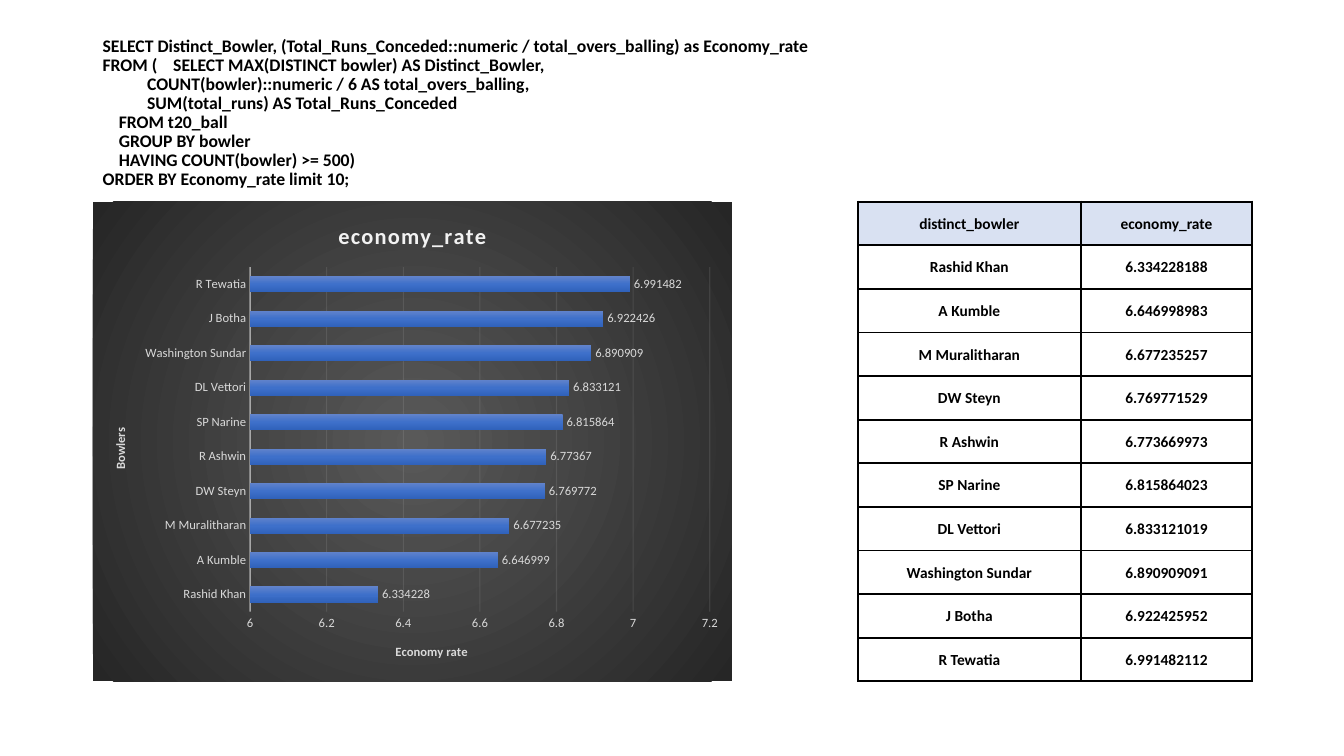
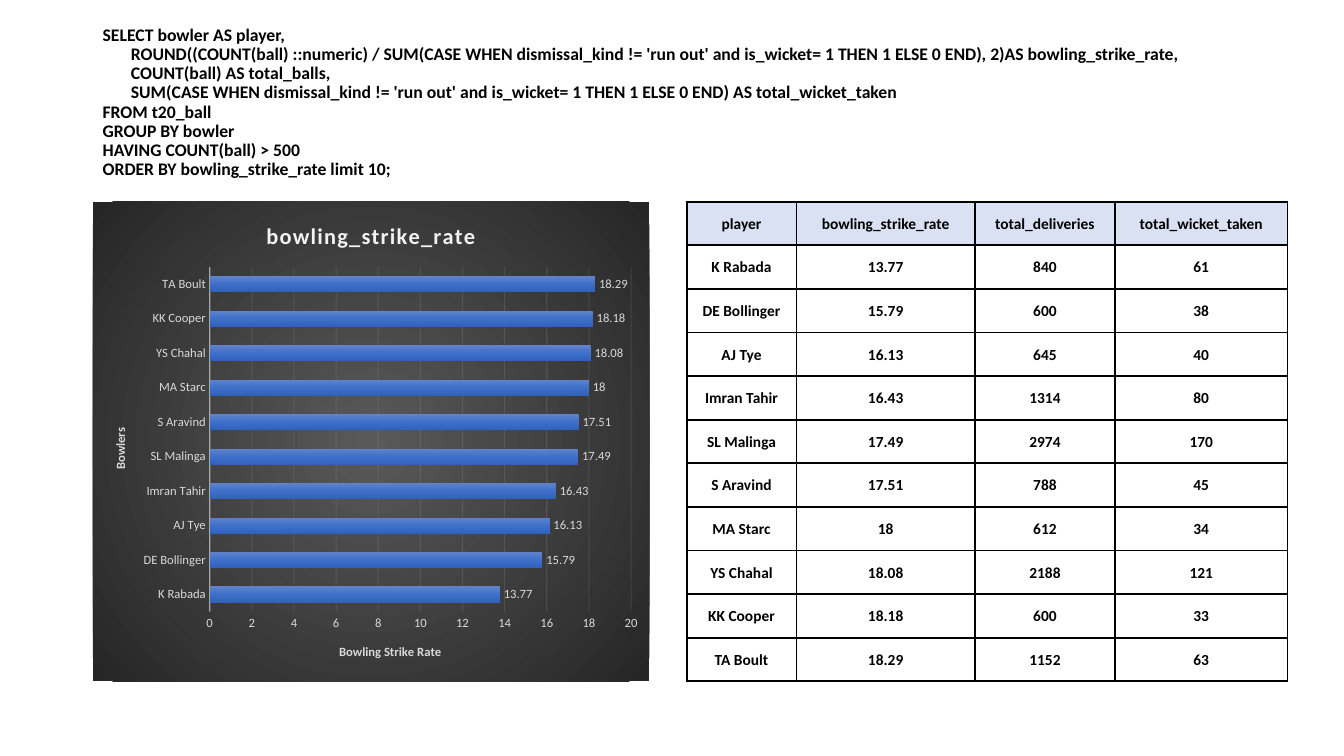
import pptx
import pptx.chart.data
import pptx.dml.color
import pptx.enum.chart
import pptx.enum.text
import pptx.oxml
import pptx.oxml.ns
import pptx.util

Inches = pptx.util.Inches
Pt = pptx.util.Pt
qn = pptx.oxml.ns.qn

FONT = "Calibri"
COLORS = {
    "ink": "000000",
    "header": "D9E1F2",
    "label": "D9D9D9",
    "light": "F2F2F2",
    "panel_center": "595959",
    "panel_edge": "262626",
    "bar_top": "6183CB",
    "bar_middle": "3E70CA",
    "bar_bottom": "3062BB",
}
QUERY_BOX = (0.92, 0.4, 11.5, 1.45)
BODY_TOP, BODY_HEIGHT = 2, 4.76
CHART_LEFT = 0.92
CHART_DECIMALS = 6
INDENT_STEP = 0.04

# Query lines are (indent steps, text); the first table column names the bars
# and the second gives their lengths. Layout lengths are inches.
ECONOMY = {
    "query": [
        (0, "SELECT Distinct_Bowler, (Total_Runs_Conceded::numeric / total_overs_balling) as Economy_rate"),
        (0, "FROM (\tSELECT MAX(DISTINCT bowler) AS Distinct_Bowler,"),
        (11, "COUNT(bowler)::numeric / 6 AS total_overs_balling,"),
        (11, "SUM(total_runs) AS Total_Runs_Conceded"),
        (4, "FROM t20_ball"),
        (4, "GROUP BY bowler"),
        (4, "HAVING COUNT(bowler) >= 500)"),
        (0, "ORDER BY Economy_rate limit 10;"),
    ],
    "query_bottom_inset": 0.05,
    "chart_width": 6.34,
    "plot": (1.56, 0.65, 4.56, 3.42),
    "value_title": "Economy rate",
    "value_title_left": 2.98,
    "scale": (6, 7.2, 0.2),
    "table_left": 8.51,
    "columns": [2.21, 1.7],
    "header": ["distinct_bowler", "economy_rate"],
    "rows": [
        ("Rashid Khan", 6.334228188),
        ("A Kumble", 6.646998983),
        ("M Muralitharan", 6.677235257),
        ("DW Steyn", 6.769771529),
        ("R Ashwin", 6.773669973),
        ("SP Narine", 6.815864023),
        ("DL Vettori", 6.833121019),
        ("Washington Sundar", 6.890909091),
        ("J Botha", 6.922425952),
        ("R Tewatia", 6.991482112),
    ],
}
STRIKE_RATE = {
    "query": [
        (0, "SELECT bowler AS player,"),
        (7, "ROUND((COUNT(ball) ::numeric) / SUM(CASE WHEN dismissal_kind != 'run out' and is_wicket= 1 "
            "THEN 1 ELSE 0 END), 2)AS bowling_strike_rate,"),
        (7, "COUNT(ball) AS total_balls,"),
        (7, "SUM(CASE WHEN dismissal_kind != 'run out' and is_wicket= 1 THEN 1 ELSE 0 END) AS total_wicket_taken"),
        (0, "FROM t20_ball"),
        (0, "GROUP BY bowler"),
        (0, "HAVING COUNT(ball) > 500"),
        (0, "ORDER BY bowling_strike_rate limit 10;"),
    ],
    "query_bottom_inset": 0.26,
    "chart_width": 5.52,
    "plot": (1.16, 0.65, 4.18, 3.42),
    "value_title": "Bowling Strike Rate",
    "value_title_left": 2.42,
    "scale": (0, 20, 2),
    "table_left": 6.81,
    "columns": [1.09, 1.77, 1.39, 1.71],
    "header": ["player", "bowling_strike_rate", "total_deliveries", "total_wicket_taken"],
    "rows": [
        ("K Rabada", 13.77, 840, 61),
        ("DE Bollinger", 15.79, 600, 38),
        ("AJ Tye", 16.13, 645, 40),
        ("Imran Tahir", 16.43, 1314, 80),
        ("SL Malinga", 17.49, 2974, 170),
        ("S Aravind", 17.51, 788, 45),
        ("MA Starc", 18, 612, 34),
        ("YS Chahal", 18.08, 2188, 121),
        ("KK Cooper", 18.18, 600, 33),
        ("TA Boult", 18.29, 1152, 63),
    ],
}


def rgb(name):
    return pptx.dml.color.RGBColor.from_string(COLORS[name])


def xml(prefix, tag, content):
    namespaces = pptx.oxml.ns.nsdecls("a", "c")
    return pptx.oxml.parse_xml(f"<{prefix}:{tag} {namespaces}>{content}</{prefix}:{tag}>")


def style_font(font, size, color, bold=False):
    font.name, font.size, font.bold = FONT, Pt(size), bold
    font.color.rgb = rgb(color)


def gradient(names, direction):
    last = len(names) - 1
    stops = "".join(
        f'<a:gs pos="{100000 * index // last}"><a:srgbClr val="{COLORS[name]}"/></a:gs>'
        for index, name in enumerate(names))
    return xml("a", "gradFill", f"<a:gsLst>{stops}</a:gsLst>{direction}")


def style_line(line, width, opacity):
    """Draw a light line that lets the panel through; opacity is in percent."""
    line.width = Pt(width)
    line.color.rgb = rgb("light")
    color = line.fill._xPr.find(".//" + qn("a:srgbClr"))
    color.append(pptx.oxml.parse_xml(
        f'<a:alpha {pptx.oxml.ns.nsdecls("a")} val="{opacity * 1000}"/>'))


def set_layout(element, box, chart_size):
    """Fix a chart part at (left, top[, width, height]) inches within the chart."""
    old = element.find(qn("c:layout"))
    if old is not None:
        element.remove(old)
    is_title = element.find(qn("c:tx")) is not None
    content = "" if is_title else '<c:layoutTarget val="inner"/>'
    content += '<c:xMode val="edge"/><c:yMode val="edge"/>'
    for tag, length, whole in zip("xywh", box, chart_size * 2):
        content += f'<c:{tag} val="{length / whole:.4f}"/>'
    element.insert(int(is_title), xml("c", "layout", f"<c:manualLayout>{content}</c:manualLayout>"))


def add_query(page, box, lines, bottom_inset):
    frame = page.shapes.add_textbox(*map(Inches, box)).text_frame
    frame.word_wrap = True
    frame.vertical_anchor = pptx.enum.text.MSO_ANCHOR.MIDDLE
    frame.margin_bottom = Inches(bottom_inset)
    for index, (steps, text) in enumerate(lines):
        para = frame.paragraphs[0] if index == 0 else frame.add_paragraph()
        para.text = text
        para.line_spacing = 0.9
        style_font(para.font, 12.6, "ink", bold=True)
        properties = para._p.get_or_add_pPr()
        properties.set("marL", str(Inches(steps * INDENT_STEP)))
        if "\t" in text:
            tabs = xml("a", "tabLst", f'<a:tab pos="{Inches(0.7)}" algn="l"/>')
            properties.find(qn("a:defRPr")).addprevious(tabs)


def style_axis(axis, title, title_at, chart_size):
    axis.major_tick_mark = axis.minor_tick_mark = pptx.enum.chart.XL_TICK_MARK.NONE
    style_font(axis.tick_labels.font, 9, "label")
    frame = axis.axis_title.text_frame
    frame.text = title
    style_font(frame.paragraphs[0].font, 9, "label", bold=True)
    set_layout(axis.axis_title._element, title_at, chart_size)


def add_bar_chart(page, box, topic):
    name = topic["header"][1]
    size = box[2:]
    data = pptx.chart.data.CategoryChartData()
    data.categories = [row[0] for row in topic["rows"]]
    data.add_series(name, [round(row[1], CHART_DECIMALS) for row in topic["rows"]])
    chart = page.shapes.add_chart(
        pptx.enum.chart.XL_CHART_TYPE.BAR_CLUSTERED, *map(Inches, box), data).chart
    style_font(chart.font, 10, "ink")
    chart.has_legend = False

    panel = xml("c", "spPr", "<a:ln><a:noFill/></a:ln>")
    panel.insert(0, gradient(
        ["panel_center", "panel_edge"],
        '<a:path path="circle"><a:fillToRect l="50000" t="50000" r="50000" b="50000"/></a:path>'))
    chart_element = chart._chartSpace.find(qn("c:chart"))
    chart_element.addnext(panel)
    set_layout(chart_element.find(qn("c:plotArea")), topic["plot"], size)

    chart.has_title = True
    chart.chart_title.text_frame.text = name
    title = chart.chart_title.text_frame.paragraphs[0]
    style_font(title.font, 16, "light", bold=True)
    title.font._element.set("spc", "100")

    bowlers, values = chart.category_axis, chart.value_axis
    style_axis(bowlers, "Bowlers", (0.17, 2.22), size)
    turned = bowlers.axis_title.text_frame._txBody.find(qn("a:bodyPr"))
    turned.set("rot", "-5400000")
    turned.set("vert", "horz")
    style_line(bowlers.format.line, 1, 54)
    style_axis(values, topic["value_title"], (topic["value_title_left"], 4.36), size)
    values.format.line.fill.background()
    values.minimum_scale, values.maximum_scale, values.major_unit = topic["scale"]
    style_line(values.major_gridlines.format.line, 0.75, 10)

    plot = chart.plots[0]
    plot.gap_width, plot.overlap, plot.vary_by_categories = 115, -20, False
    plot.has_data_labels = True
    labels = plot.data_labels
    labels.show_value = True
    labels.position = pptx.enum.chart.XL_LABEL_POSITION.OUTSIDE_END
    style_font(labels.font, 9, "label")
    bars = plot.series[0].format.fill
    bars.solid()
    solid = bars._xPr.find(qn("a:solidFill"))
    bars._xPr.replace(solid, gradient(
        ["bar_top", "bar_middle", "bar_bottom"], '<a:lin ang="5400000" scaled="0"/>'))


def style_cell(cell, is_header):
    cell.vertical_anchor = pptx.enum.text.MSO_ANCHOR.MIDDLE
    cell.margin_left = cell.margin_right = cell.margin_top = Inches(0.01)
    cell.margin_bottom = 0
    para = cell.text_frame.paragraphs[0]
    para.alignment = pptx.enum.text.PP_ALIGN.CENTER
    style_font(para.font, 11, "ink", bold=True)
    if is_header:
        cell.fill.solid()
        cell.fill.fore_color.rgb = rgb("header")
    else:
        cell.fill.background()
    properties = cell._tc.get_or_add_tcPr()
    for index, side in enumerate(("lnL", "lnR", "lnT", "lnB")):
        border = xml("a", side, f'<a:solidFill><a:srgbClr val="{COLORS["ink"]}"/></a:solidFill>')
        border.set("w", str(Pt(1.5)))
        properties.insert(index, border)


def add_results_table(page, box, topic):
    rows = [topic["header"]] + [[str(value) for value in row] for row in topic["rows"]]
    table = page.shapes.add_table(len(rows), len(rows[0]), *map(Inches, box)).table
    table.horz_banding = False
    for column, width in zip(table.columns, topic["columns"]):
        column.width = Inches(width)
    for row_index, texts in enumerate(rows):
        table.rows[row_index].height = Inches(box[3] / len(rows))
        for column_index, text in enumerate(texts):
            cell = table.cell(row_index, column_index)
            cell.text = text
            style_cell(cell, row_index == 0)


def add_topic_page(deck, topic):
    page = deck.slides.add_slide(deck.slide_layouts[6])
    add_query(page, QUERY_BOX, topic["query"], topic["query_bottom_inset"])
    add_bar_chart(page, (CHART_LEFT, BODY_TOP, topic["chart_width"], BODY_HEIGHT), topic)
    add_results_table(
        page, (topic["table_left"], BODY_TOP, sum(topic["columns"]), BODY_HEIGHT), topic)


def main():
    deck = pptx.Presentation()
    deck.slide_width, deck.slide_height = Inches(13.33), Inches(7.5)
    for topic in (ECONOMY, STRIKE_RATE):
        add_topic_page(deck, topic)
    deck.save("out.pptx")


if __name__ == "__main__":
    main()
